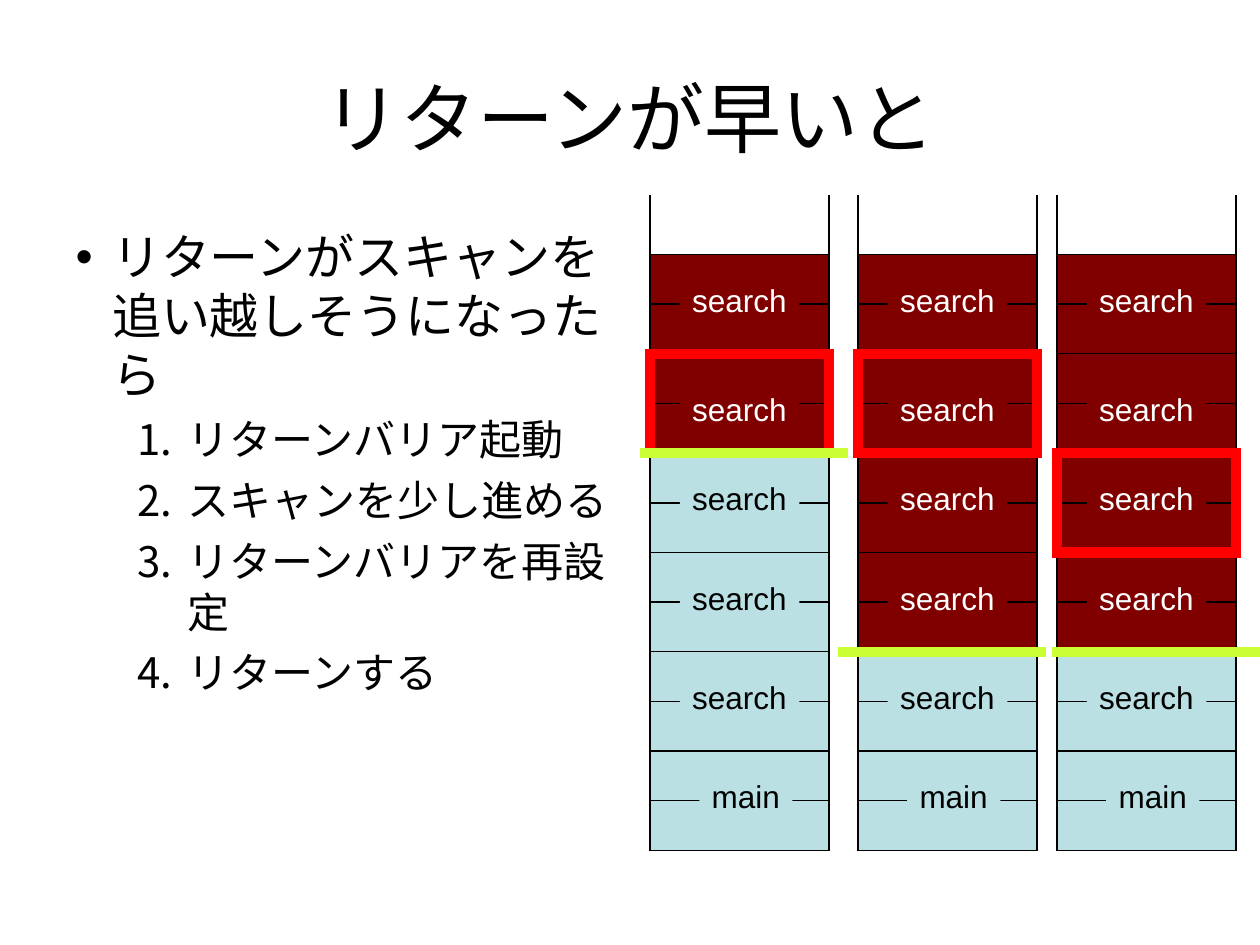
from lxml import etree
from pptx import Presentation
from pptx.dml.color import RGBColor
from pptx.enum.shapes import MSO_CONNECTOR, MSO_SHAPE
from pptx.enum.text import MSO_ANCHOR, MSO_AUTO_SIZE, PP_ALIGN
from pptx.oxml.ns import qn
from pptx.util import Inches, Pt

RECTANGLE = MSO_SHAPE.RECTANGLE
STRAIGHT = MSO_CONNECTOR.STRAIGHT
MIDDLE = MSO_ANCHOR.MIDDLE
TOP = MSO_ANCHOR.TOP
NO_FIT = MSO_AUTO_SIZE.NONE
GROW = MSO_AUTO_SIZE.SHAPE_TO_FIT_TEXT
LEFT = PP_ALIGN.LEFT
CENTER = PP_ALIGN.CENTER

BLACK, WHITE = "000000", "FFFFFF"
SCANNED, UNSCANNED = "BBE0E3", "800000"
BARRIER, SCAN_LINE = "FF0000", "CCFF33"

FRAMES = ["search"] * 5 + ["main"]
STACK_TOP, STACK_BOTTOM, STACK_WIDTH = 2.02, 6.75, 1.42
FRAME_HEIGHT = (STACK_BOTTOM - STACK_TOP) / len(FRAMES)
WALL_TOP = 1.55
LABEL_SIZES = {"search": (0.235, 0.95), "main": (0.39, 0.74)}
LABEL_DROPS = [0.16, 0.24, 0.16, 0.16, 0.16, 0.16]

STEPS = [
    "リターンバリア起動",
    "スキャンを少し進める",
    "リターンバリアを再設定",
    "リターンする",
]


def color(value):
    return RGBColor.from_string(value)


def frame_top(index):
    return STACK_TOP + index * FRAME_HEIGHT


def place(shape, left, top, width, height):
    shape.left, shape.top = Inches(left), Inches(top)
    shape.width, shape.height = Inches(width), Inches(height)


def add_text(paragraph, text, size, text_color=BLACK):
    run = paragraph.add_run()
    run.text = text
    run.font.size = Pt(size)
    run.font.name = "Arial"
    run.font.color.rgb = color(text_color)


def add_bullet(paragraph, left, hanging, tag, **attributes):
    properties = paragraph._p.get_or_add_pPr()
    properties.set("marL", str(Inches(left)))
    properties.set("indent", str(-Inches(hanging)))
    bullet_color = etree.SubElement(properties, qn("a:buClr"))
    etree.SubElement(bullet_color, qn("a:srgbClr"), val=BLACK)
    etree.SubElement(properties, qn("a:buFont"), typeface="Arial")
    etree.SubElement(properties, qn(tag), **attributes)


def add_box(slide, left, top, width, height, fill=None, line=None, weight=0.75):
    shape = slide.shapes.add_shape(
        RECTANGLE, Inches(left), Inches(top), Inches(width), Inches(height))
    shape.shadow.inherit = False
    if fill:
        shape.fill.solid()
        shape.fill.fore_color.rgb = color(fill)
    else:
        shape.fill.background()
    if line:
        shape.line.color.rgb = color(line)
        shape.line.width = Pt(weight)
        outline = shape._element.spPr.find(qn("a:ln"))
        etree.SubElement(outline, qn("a:miter"), lim="800000")
    else:
        shape.line.fill.background()
    return shape


def add_line(slide, start, end, line_color, weight):
    connector = slide.shapes.add_connector(
        STRAIGHT, *(Inches(value) for value in (*start, *end)))
    connector.line.color.rgb = color(line_color)
    connector.line.width = Pt(weight)
    etree.SubElement(connector._element.spPr, qn("a:effectLst"))


def add_label(slide, text, stack_left, top, fill):
    offset, width = LABEL_SIZES[text]
    shape = add_box(slide, stack_left + offset, top, width, 0.4, fill)
    frame = shape.text_frame
    frame.word_wrap = False
    frame.auto_size = GROW
    frame.vertical_anchor = TOP
    paragraph = frame.paragraphs[0]
    paragraph.alignment = LEFT
    add_text(paragraph, text, 18, WHITE if fill == UNSCANNED else BLACK)


def add_stack(slide, left, unscanned_count, barrier_frame):
    fills = [UNSCANNED if index < unscanned_count else SCANNED
             for index in range(len(FRAMES))]
    for half in reversed(range(2 * len(FRAMES))):
        add_box(slide, left, frame_top(half / 2), STACK_WIDTH,
                FRAME_HEIGHT / 2, fills[half // 2], BLACK)
    for side in (left, left + STACK_WIDTH):
        add_line(slide, (side, WALL_TOP), (side, STACK_BOTTOM), BLACK, 0.75)
    for index, text in enumerate(FRAMES):
        add_label(slide, text, left, frame_top(index) + LABEL_DROPS[index],
                  fills[index])
    add_box(slide, left, frame_top(barrier_frame), STACK_WIDTH, FRAME_HEIGHT,
            line=BARRIER, weight=6)


def add_scan_line(slide, left, frame_index):
    top = frame_top(frame_index)
    add_line(slide, (left, top), (left + 1.65, top), SCAN_LINE, 6)


def fill_title(title):
    place(title, 0.5, 0.3, 9, 1.25)
    title.text_frame.vertical_anchor = MIDDLE
    paragraph = title.text_frame.paragraphs[0]
    paragraph.alignment = CENTER
    add_text(paragraph, "リターンが早いと", 44)


def fill_body(body):
    place(body, 0.5, 1.75, 4.58, 4.95)
    frame = body.text_frame
    frame.word_wrap = True
    frame.auto_size = NO_FIT
    paragraph = frame.paragraphs[0]
    add_bullet(paragraph, 0.29, 0.29, "a:buChar", char="•")
    paragraph.space_before = Pt(0)
    add_text(paragraph, "リターンがスキャンを", 28)
    paragraph.add_line_break()
    add_text(paragraph, "追い越しそうになったら", 28)
    for step in STEPS:
        paragraph = frame.add_paragraph()
        paragraph.level = 1
        add_bullet(paragraph, 0.89, 0.4, "a:buAutoNum", type="arabicPeriod")
        paragraph.space_before = Pt(6)
        add_text(paragraph, step, 24)


def main():
    presentation = Presentation()
    presentation.slide_width, presentation.slide_height = Inches(10), Inches(7.5)
    slide = presentation.slides.add_slide(presentation.slide_layouts[1])
    fill_title(slide.shapes.title)
    fill_body(slide.placeholders[1])
    add_stack(slide, 6.81, unscanned_count=4, barrier_frame=1)
    add_stack(slide, 5.16, unscanned_count=2, barrier_frame=1)
    add_stack(slide, 8.39, unscanned_count=4, barrier_frame=2)
    for left, frame_index in ((6.65, 4), (8.35, 4), (5.08, 2)):
        add_scan_line(slide, left, frame_index)
    presentation.save("out.pptx")


if __name__ == "__main__":
    main()
